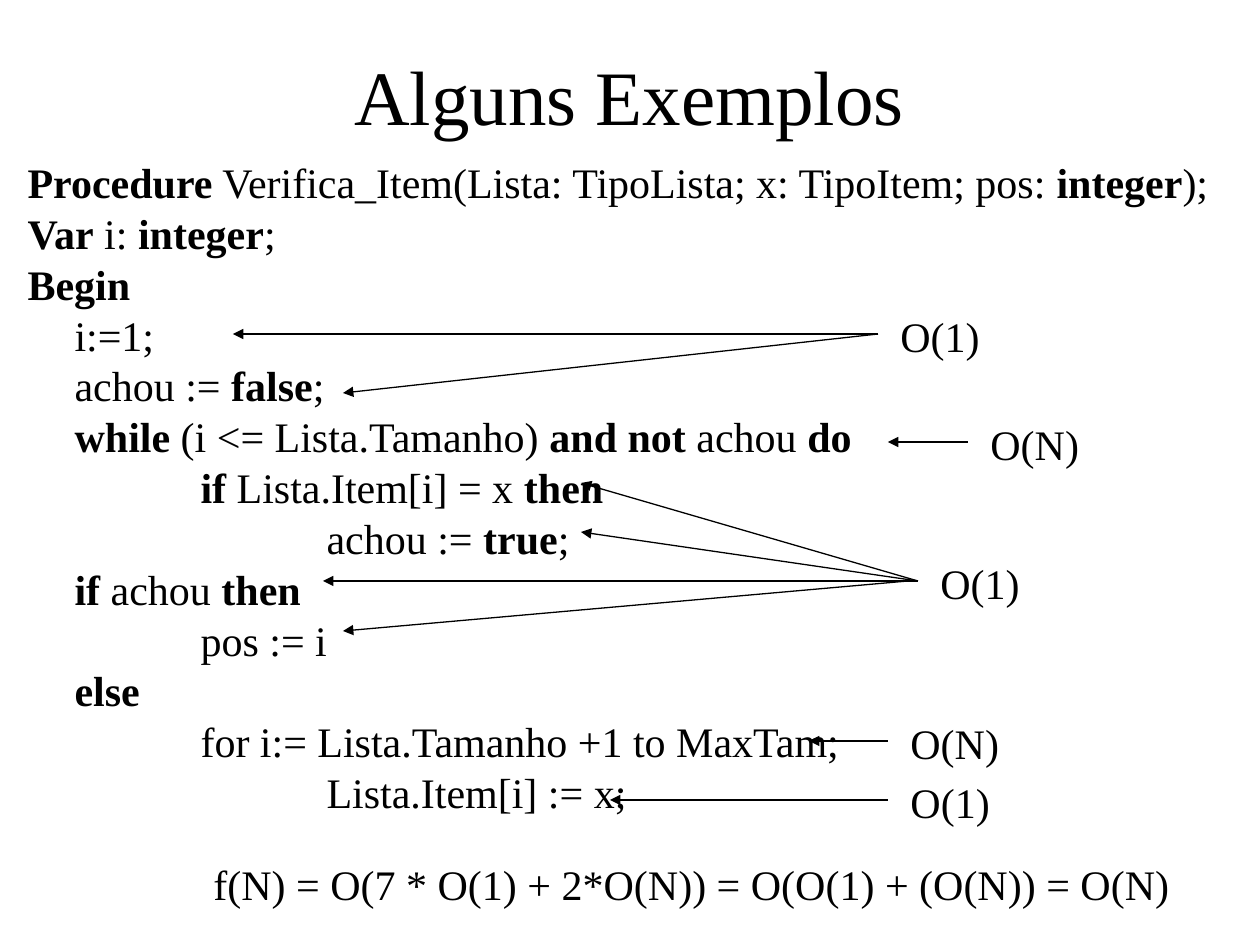
"""Builds the slide on the complexity of an item search procedure."""
from typing import NamedTuple

from lxml.etree import SubElement
from pptx import Presentation
from pptx.dml.color import RGBColor
from pptx.enum.shapes import MSO_CONNECTOR
from pptx.enum.text import MSO_ANCHOR, MSO_AUTO_SIZE, PP_ALIGN
from pptx.oxml.ns import qn
from pptx.util import Pt

EMU_PER_INCH = 914400
PX_PER_INCH = 126
BLACK = RGBColor(0x00, 0x00, 0x00)
FONT = "Times New Roman"
TAB_COUNT = 8
INDENT = 47
LABEL_GAP = 10
LABEL_RISE = 30
LABEL_HEIGHT = 63


class CodeLine(NamedTuple):
    """A line of code with its depth; ** surrounds keywords."""
    depth: int
    text: str


class Target(NamedTuple):
    """An arrow tip and how far its arrow starts left of the common origin."""
    x: int
    y: int
    shift: int = 0


class Cost(NamedTuple):
    """A cost label whose arrows leave from one origin."""
    text: str
    width: int
    x: int
    y: int
    targets: tuple[Target, ...]


CODE = (
    CodeLine(0, "**Procedure** Verifica_Item(Lista: TipoLista; x: TipoItem; pos: **integer**);"),
    CodeLine(0, "**Var** i: **integer**;"),
    CodeLine(0, "**Begin**"),
    CodeLine(1, "i:=1;"),
    CodeLine(1, "achou := **false**;"),
    CodeLine(1, "**while** (i <= Lista.Tamanho) **and not** achou **do**"),
    CodeLine(2, "**if** Lista.Item[i] = x **then**"),
    CodeLine(3, "achou := **true**;"),
    CodeLine(1, "**if** achou **then**"),
    CodeLine(2, "pos := i"),
    CodeLine(1, "**else**"),
    CodeLine(2, "for i:= Lista.Tamanho +1 to MaxTam;"),
    CodeLine(3, "Lista.Item[i] := x;"),
)

COSTS = (
    Cost("O(1)", 106, 878, 334, (Target(233, 334), Target(343, 393))),
    Cost("O(N)", 115, 968, 442, (Target(888, 442),)),
    Cost("O(1)", 106, 918, 581, (Target(323, 581), Target(581, 483),
                                 Target(581, 532), Target(343, 631, 10))),
    Cost("O(N)", 115, 888, 741, (Target(809, 741),)),
    Cost("O(1)", 106, 888, 800, (Target(610, 800),)),
)


def px(length: int) -> int:
    """Turn px into EMU."""
    return round(length * EMU_PER_INCH / PX_PER_INCH)


def place(shape, left: int, top: int, width: int, height: int) -> None:
    """Move and size a shape."""
    shape.left, shape.top = px(left), px(top)
    shape.width, shape.height = px(width), px(height)


def write(paragraph, text: str, *, size: int = 24, bold: bool = False,
          align: PP_ALIGN = PP_ALIGN.LEFT) -> None:
    """Add one formatted run to a paragraph."""
    paragraph.alignment = align
    run = paragraph.add_run()
    run.text = text
    run.font.name = FONT
    run.font.size = Pt(size)
    run.font.bold = bold
    run.font.color.rgb = BLACK


def set_code_indent(paragraph) -> None:
    """Give a paragraph a hanging indent, no bullet and inch tab stops."""
    properties = paragraph._p.get_or_add_pPr()
    properties.set("marL", str(px(INDENT)))
    properties.set("indent", str(-px(INDENT)))
    properties.set("defTabSz", str(EMU_PER_INCH))
    SubElement(properties, qn("a:buNone"))
    tabs = SubElement(properties, qn("a:tabLst"))
    for inch in range(TAB_COUNT):
        SubElement(tabs, qn("a:tab"), pos=str(inch * EMU_PER_INCH), algn="l")


def fill_code(text_frame, lines: tuple[CodeLine, ...]) -> None:
    """Write the code lines with bold keywords."""
    for index, line in enumerate(lines):
        paragraph = text_frame.add_paragraph() if index else text_frame.paragraphs[0]
        set_code_indent(paragraph)
        paragraph.line_spacing = 0.8
        paragraph.space_before = Pt(6 if index else 0)
        marked = "\t" * line.depth + line.text
        for position, part in enumerate(marked.split("**")):
            if part:
                write(paragraph, part, bold=position % 2 == 1)


def add_label(shapes, text: str, left: int, top: int, width: int) -> None:
    """Add a single-line text box."""
    box = shapes.add_textbox(px(left), px(top), px(width), px(LABEL_HEIGHT))
    box.text_frame.word_wrap = False
    box.text_frame.auto_size = MSO_AUTO_SIZE.SHAPE_TO_FIT_TEXT
    write(box.text_frame.paragraphs[0], text)


def add_arrow(shapes, start_x: int, start_y: int, target: Target) -> None:
    """Add a thin arrow that points at its target."""
    arrow = shapes.add_connector(MSO_CONNECTOR.STRAIGHT, px(start_x), px(start_y),
                                 px(target.x), px(target.y))
    arrow.line.color.rgb = BLACK
    arrow.line.width = Pt(0.75)
    SubElement(arrow.line._get_or_add_ln(), qn("a:tailEnd"), type="triangle")
    SubElement(arrow._element.spPr, qn("a:effectLst"))


def add_cost(slide, cost: Cost) -> None:
    """Group a cost label with its arrows."""
    shapes = slide.shapes.add_group_shape().shapes
    add_label(shapes, cost.text, cost.x + LABEL_GAP, cost.y - LABEL_RISE, cost.width)
    for target in cost.targets:
        add_arrow(shapes, cost.x - target.shift, cost.y, target)


def main() -> None:
    """Build and save the presentation."""
    presentation = Presentation()
    presentation.slide_width, presentation.slide_height = px(1260), px(945)
    slide = presentation.slides.add_slide(presentation.slide_layouts[1])

    title, body = slide.shapes.title, slide.placeholders[1]
    place(title, 94, 16, 1071, 158)
    place(body, 15, 160, 1226, 694)
    for placeholder, anchor in ((title, MSO_ANCHOR.MIDDLE), (body, MSO_ANCHOR.TOP)):
        placeholder.text_frame.auto_size = MSO_AUTO_SIZE.NONE
        placeholder.text_frame.vertical_anchor = anchor
    write(title.text_frame.paragraphs[0], "Alguns Exemplos", size=44, align=PP_ALIGN.CENTER)
    fill_code(body.text_frame, CODE)

    for cost in COSTS:
        add_cost(slide, cost)
    add_label(slide.shapes, "f(N) = O(7 * O(1) + 2*O(N)) = O(O(1) + (O(N)) = O(N)", 201, 852, 984)
    presentation.save("out.pptx")


if __name__ == "__main__":
    main()
